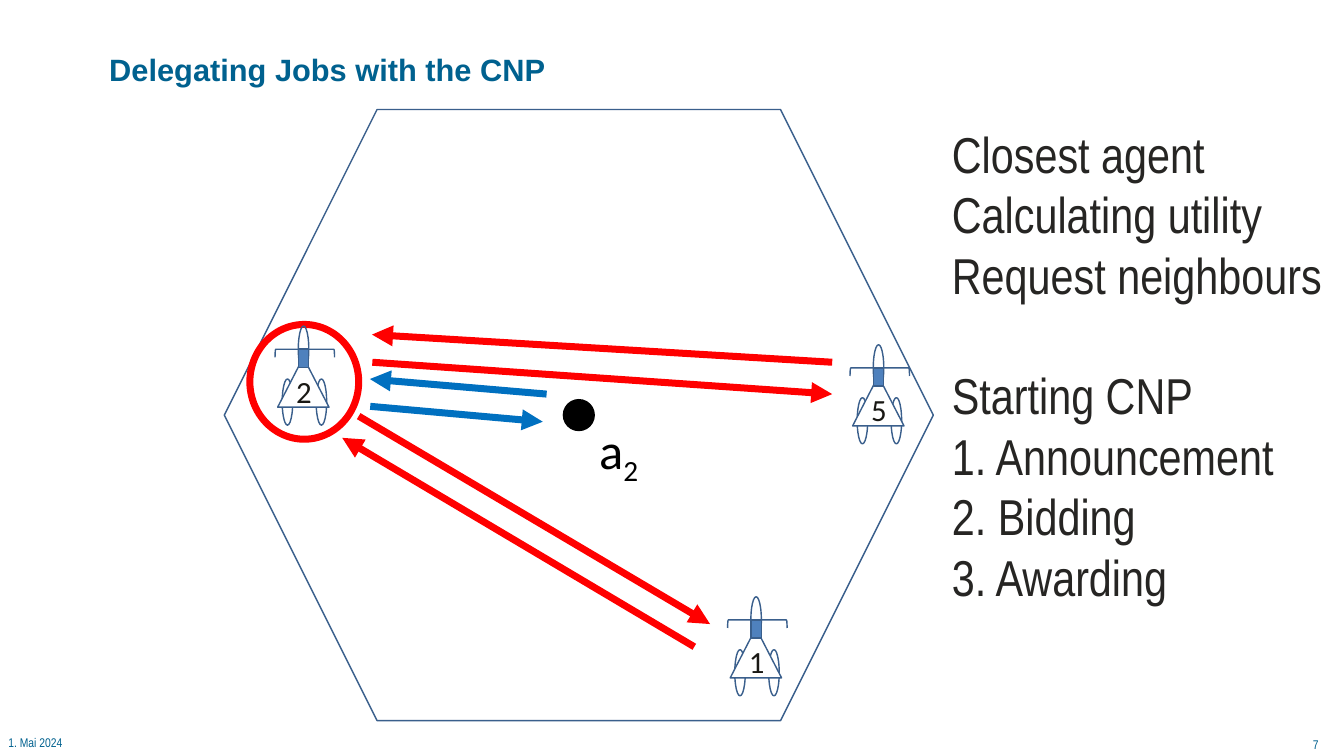
from dataclasses import dataclass

from lxml.etree import SubElement
from pptx import Presentation
from pptx.dml.color import RGBColor
from pptx.enum.shapes import MSO_CONNECTOR as Connector, MSO_SHAPE as Shape
from pptx.enum.text import MSO_ANCHOR as Anchor, MSO_AUTO_SIZE as AutoSize, PP_ALIGN as Align
from pptx.oxml.ns import qn
from pptx.util import Pt


@dataclass(frozen=True)
class Theme:
    brand: str = "00618F"
    outline: str = "3A5F8C"
    cabin: str = "4F81BD"
    alert: str = "FF0000"
    reply: str = "0070C0"
    black: str = "000000"
    white: str = "FFFFFF"
    digit: str = "191814"
    body: str = "262523"
    footer_size: int = 18
    title_size: int = 44
    body_size: int = 72
    thin: int = 2
    thick: int = 10
    title_font: str = "Arial"
    narrow_font: str = "Arial Narrow"
    label_font: str = "Calibri"


class Painter:
    def __init__(self, page, theme):
        self.page = page
        self.theme = theme

    def shape(self, kind, x, y, width, height, fill=None, line=None, weight=None,
              turn=0, parent=None):
        owner = parent or self.page
        item = owner.shapes.add_shape(kind, Pt(x), Pt(y), Pt(width), Pt(height))
        item.shadow.inherit = False
        item.rotation = turn
        if fill:
            item.fill.solid()
            item.fill.fore_color.rgb = RGBColor.from_string(fill)
        else:
            item.fill.background()
        item.line.color.rgb = RGBColor.from_string(line or self.theme.outline)
        item.line.width = Pt(weight or self.theme.thin)

    def text(self, x, y, width, height, parent=None, wrap=True, inset=None,
             anchor=Anchor.TOP, grow=False):
        owner = parent or self.page
        box = owner.shapes.add_textbox(Pt(x), Pt(y), Pt(width), Pt(height))
        frame = box.text_frame
        frame.word_wrap = wrap
        frame.vertical_anchor = anchor
        frame.auto_size = AutoSize.SHAPE_TO_FIT_TEXT if grow else AutoSize.NONE
        if inset is not None:
            frame.margin_left = frame.margin_right = Pt(inset)
            frame.margin_top = frame.margin_bottom = Pt(inset)
        return frame

    def span(self, para, words, size, font, color, bold=False):
        span = para.add_run()
        span.text = words
        span.font.size = Pt(size)
        span.font.name = font
        span.font.bold = bold
        span.font.color.rgb = RGBColor.from_string(color)
        return span

    def arrow(self, start, end, color):
        line = self.page.shapes.add_connector(
            Connector.STRAIGHT, *(Pt(value) for value in (*start, *end)))
        line.line.color.rgb = RGBColor.from_string(color)
        line.line.width = Pt(self.theme.thick)
        SubElement(line.line._get_or_add_ln(), qn("a:tailEnd"), type="triangle")
        SubElement(line._element.spPr, qn("a:effectLst"))

    def helicopter(self, x, y, number):
        theme = self.theme
        group = self.page.shapes.add_group_shape()
        # Two skids and the nose
        for dx, dy in ((6.5, 75.6), (55, 75.6), (29.5, 0)):
            self.shape(Shape.OVAL, x + dx, y + dy, 15, 66, parent=group)
        self.shape(Shape.ISOSCELES_TRIANGLE, x, y + 44.6, 73.4, 71.3,
                   fill=theme.white, parent=group)
        frame = self.text(x + 19.4, y + 62.6, 36.7, 60.5, parent=group, wrap=False, grow=True)
        self.span(frame.paragraphs[0], number, theme.title_size, theme.label_font, theme.digit)
        # Rotor and cabin
        self.shape(Shape.LEFT_BRACKET, x + 33, y - 3.6, 11.5, 85, turn=90, parent=group)
        self.shape(Shape.RECTANGLE, x + 29.5, y + 33, 15, 26, fill=theme.cabin, parent=group)


def main():
    theme = Theme()
    deck = Presentation()
    deck.slide_width, deck.slide_height = Pt(1920.24), Pt(1080)
    page = deck.slides.add_slide(deck.slide_layouts[6])
    painter = Painter(page, theme)

    # Title and footer
    frame = painter.text(149, 16, 1486, 113, anchor=Anchor.BOTTOM)
    painter.span(frame.paragraphs[0], "Delegating Jobs with the CNP",
                 theme.title_size, theme.title_font, theme.brand, bold=True)
    frame = painter.text(12, 1050.5, 85, 21.5, wrap=False, inset=0, grow=True)
    painter.span(frame.paragraphs[0], "1. Mai 2024",
                 theme.footer_size, theme.narrow_font, theme.brand)
    frame = painter.text(1746, 1049, 145, 17.5)
    frame.paragraphs[0].alignment = Align.RIGHT
    painter.span(frame.paragraphs[0], "7", theme.footer_size, theme.narrow_font, theme.brand)

    # Area and the chosen agent's ring
    painter.shape(Shape.HEXAGON, 320.5, 156.5, 1013, 873)
    painter.shape(Shape.FLOWCHART_CONNECTOR, 357, 463.5, 155.5, 164,
                  line=theme.alert, weight=theme.thick)

    # Job a2
    painter.shape(Shape.OVAL, 805, 571, 44, 44, fill=theme.black, line=theme.black)
    para = painter.text(849, 594.5, 181, 94.5, grow=True).paragraphs[0]
    painter.span(para, "a", theme.body_size, theme.label_font, theme.black)
    index = painter.span(para, "2", theme.body_size, theme.label_font, theme.black)
    index.font._element.set("baseline", "-25000")

    # Agents
    for x, y, number in ((396.7, 465.8, "2"), (1043.3, 852.5, "1"), (1218.2, 492.5, "5")):
        painter.helicopter(x, y, number)

    # Messages between agents, then between agent 2 and the job
    for start, end, color in (
        ((532, 517.5), (1189, 563), theme.alert),
        ((512.5, 594.5), (1014.5, 891.5), theme.alert),
        ((1189, 517.5), (531.5, 478), theme.alert),
        ((992, 924), (489, 625.5), theme.alert),
        ((529, 580.5), (775.5, 602.5), theme.reply),
        ((781, 563), (528.5, 541.5), theme.reply),
    ):
        painter.arrow(start, end, color)

    # Steps of the protocol
    frame = painter.text(1353, 172, 544, 705, grow=True)
    steps = ("Closest agent", "Calculating utility", "Request neighbours",
             "Starting CNP", "1. Announcement", "2. Bidding", "3. Awarding")
    for number, step in enumerate(steps):
        para = frame.add_paragraph() if number else frame.paragraphs[0]
        if step == "Starting CNP":
            para.space_before = Pt(86)
        painter.span(para, step, theme.body_size, theme.narrow_font, theme.body)

    deck.save("out.pptx")


if __name__ == "__main__":
    main()
